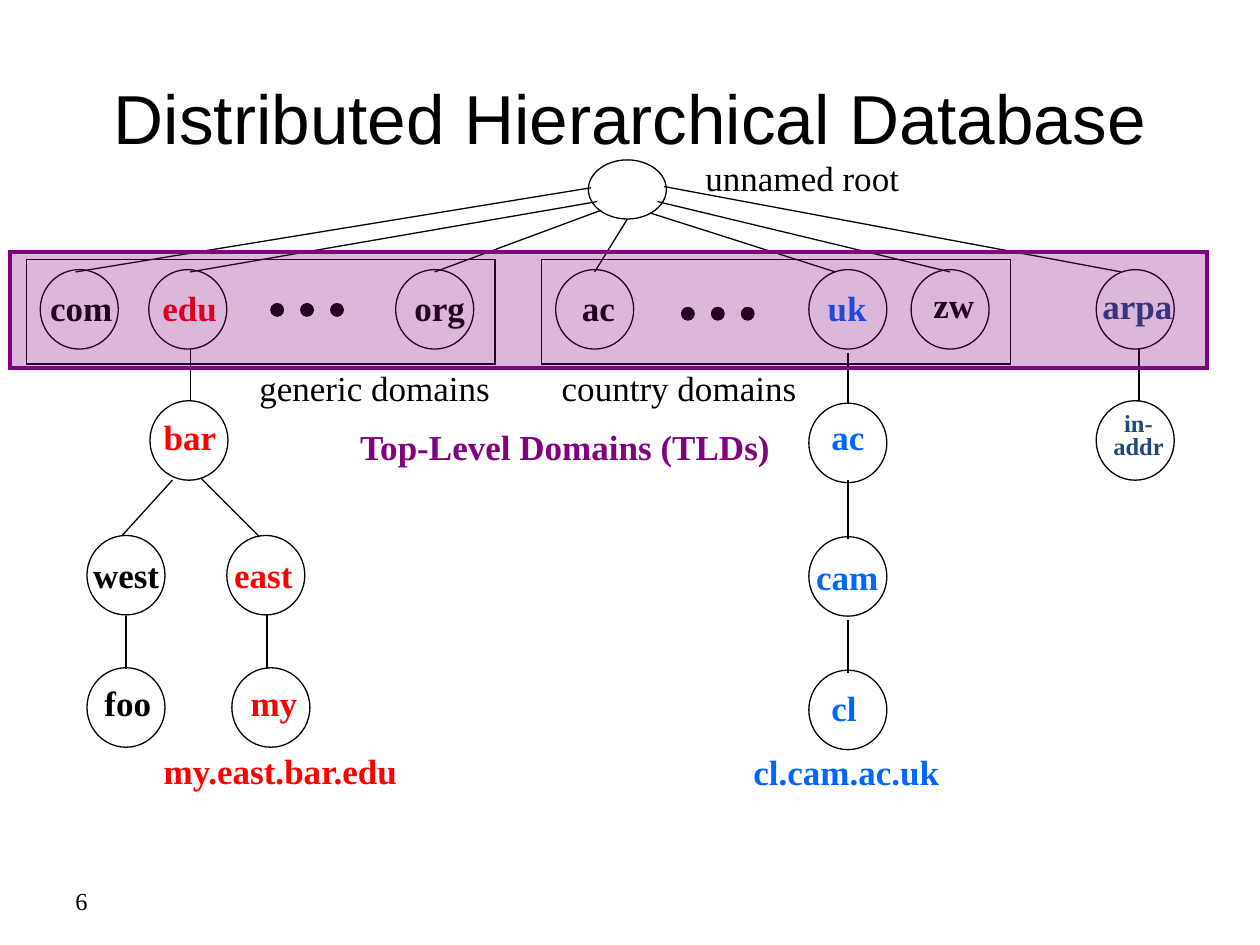
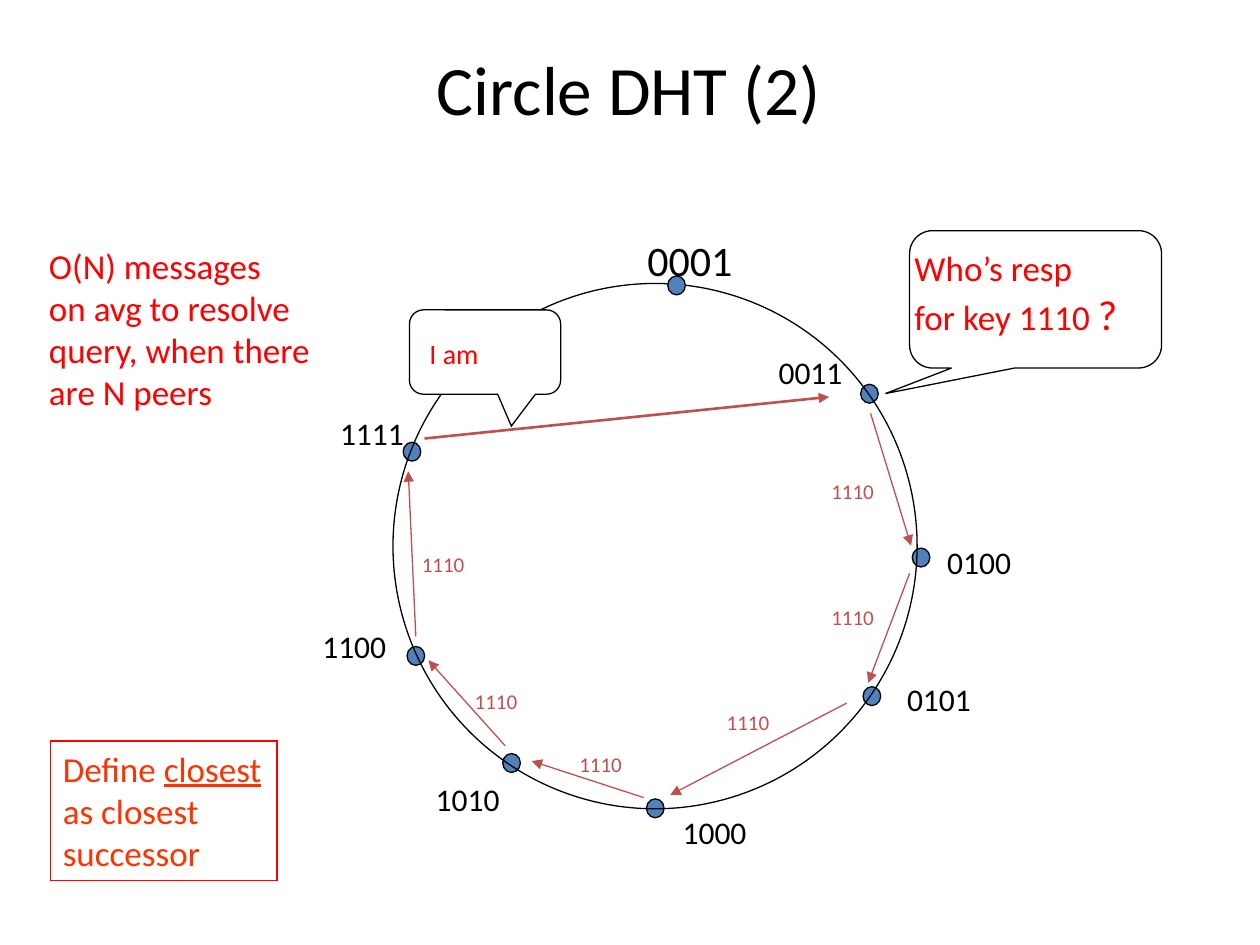
from lxml.etree import SubElement
from pptx import Presentation
from pptx.dml.color import RGBColor
from pptx.enum.shapes import MSO_CONNECTOR, MSO_SHAPE
from pptx.enum.text import MSO_ANCHOR, MSO_AUTO_SIZE, PP_ALIGN
from pptx.oxml.ns import qn
from pptx.util import Pt

COLORS = {
    "black": "000000", "white": "FFFFFF", "red": "FF0000", "orange": "FF3300",
    "blue": "0066FF", "navy": "1F497D", "purple": "800080",
    "peer": "4F81BD", "message": "C0504D",
}
SERIF, SANS, ARIAL = "Times New Roman", "Calibri", "Arial"
NODE_W, NODE_H = 44.6, 45.4
PEER_W, PEER_H = 10.1, 10.8


def rgb(name):
    """Return the named colour."""
    return RGBColor.from_string(COLORS[name])


def shape(s, kind, box, fill=None, line="black", width=0.75, adj=()):
    """Add a preset shape with a sharp outline and an optional fill."""
    sp = s.shapes.add_shape(kind, *[Pt(v) for v in box])
    sp.shadow.inherit = False
    if fill:
        sp.fill.solid()
        sp.fill.fore_color.rgb = rgb(fill)
    else:
        sp.fill.background()
    sp.line.color.rgb = rgb(line)
    sp.line.width = Pt(width)
    SubElement(sp.line._get_or_add_ln(), qn("a:miter"), lim="800000")
    for i, value in enumerate(adj):
        sp.adjustments[i] = value
    return sp


def line(s, start, end, color="black", width=0.75, arrow=False):
    """Add a straight connector, with an arrowhead at its end if asked."""
    ends = [Pt(v) for v in (*start, *end)]
    c = s.shapes.add_connector(MSO_CONNECTOR.STRAIGHT, *ends)
    c.line.color.rgb = rgb(color)
    c.line.width = Pt(width)
    if arrow:
        SubElement(c.line._get_or_add_ln(), qn("a:tailEnd"), type="triangle")
    SubElement(c._element.spPr, qn("a:effectLst"))
    return c


def write(sp, lines, size, font, color="black", bold=False,
          align=PP_ALIGN.LEFT, spacing=None):
    """Write lines, each a string or a list of (text, font settings) runs."""
    tf = sp.text_frame
    for i, runs in enumerate(lines):
        p = tf.paragraphs[0] if i == 0 else tf.add_paragraph()
        p.alignment = align
        if spacing:
            p.line_spacing = spacing
        for text, extra in [(runs, {})] if isinstance(runs, str) else runs:
            r = p.add_run()
            r.text = text
            r.font.name, r.font.size, r.font.bold = font, Pt(size), bold
            r.font.color.rgb = rgb(color)
            for key, value in extra.items():
                setattr(r.font, key, value)
    return tf


def label(s, box, lines, size, font, color="black", wrap=False, **style):
    """Add a text box that grows with its text."""
    sp = s.shapes.add_textbox(*[Pt(v) for v in box])
    tf = write(sp, lines, size, font, color, **style)
    tf.word_wrap = wrap
    tf.auto_size = MSO_AUTO_SIZE.SHAPE_TO_FIT_TEXT
    return tf


def titled_slide(prs, box, title, font):
    """Add a title-only slide and format its title."""
    s = prs.slides.add_slide(prs.slide_layouts[5])
    sp = s.shapes.title
    sp.left, sp.top, sp.width, sp.height = [Pt(v) for v in box]
    tf = write(sp, [title], 39.6, font, align=PP_ALIGN.CENTER)
    tf.vertical_anchor = MSO_ANCHOR.MIDDLE
    return s


def node(s, x, y, name, color, dx, dy, w):
    """Draw a domain circle with its name offset by dx and dy."""
    shape(s, MSO_SHAPE.OVAL, (x, y, NODE_W, NODE_H))
    label(s, (x + dx, y + dy, w, 31), [name], 20, SERIF, color, bold=True)


def subtree(s, box, nodes, edges):
    """Draw the edges and nodes of one branch inside its box."""
    x, y = box
    for nx, ny, *rest in nodes:
        node(s, x + nx, y + ny, *rest)
    for x1, y1, x2, y2 in edges:
        line(s, (x + x1, y + y1), (x + x2, y + y2))


def top_level(s, box):
    """Draw the top-level domains and the frames around them."""
    x, y = box[:2]
    nodes = [
        (17.2, "com", "black", -1.4, 5.8, 53),
        (79.2, "edu", "red", 0.7, 5.8, 46),
        (220.3, "org", "black", 3.6, 5.8, 45),
        (311.7, "ac", "black", 7.9, 5.8, 35),
        (456.4, "uk", "blue", 3.6, 5.8, 38),
        (514.8, "zw", "black", 5.7, 4.3, 39),
        (620.6, "arpa", "navy", -3.6, 5, 56),
    ]
    for nx, *rest in nodes:
        node(s, x + nx, y + 10.1, *rest)
    for dots_x, dots_y in ((149, 29.5), (383.7, 31.7)):
        for i in range(3):
            dot = (x + dots_x + 17.1 * i, y + dots_y, 7.2, 7.2)
            shape(s, MSO_SHAPE.OVAL, dot, "black")
    for frame_x in (9.3, 303.8):
        shape(s, MSO_SHAPE.RECTANGLE, (x + frame_x, y + 4.3, 267.8, 59.8))


def root(s, box):
    """Draw the root and its edges to the top-level domains."""
    x, y, w, h = box
    shape(s, MSO_SHAPE.OVAL, box)
    label(s, (x + 59.8, y - 5.7, 125.3, 31), ["unnamed root"], 20, SERIF)
    edges = [
        (1.5, 15.9, -293), (5.1, 23.8, -227.5), (7.2, 28.8, -87.8),
        (w / 2, h, 3.6), (43.2, 15.2, 304.6), (39.6, 23.8, 206.7),
        (35.3, 30.3, 141.2),
    ]
    for x1, y1, x2 in edges:
        line(s, (x + x1, y + y1), (x + x2, y + 64))


def reverse_branch(s, box):
    """Draw the branch below arpa."""
    x, y = box
    line(s, (x + 24.5, y), (x + 24.5, y + 30.3))
    shape(s, MSO_SHAPE.OVAL, (x, y + 30.3, NODE_W, NODE_H))
    label(s, (x + 2.2, y + 33.9, 43.9, 35.3), ["in-", "addr"], 14, SERIF,
          "navy", bold=True, align=PP_ALIGN.CENTER, spacing=0.8)


def band(s, box):
    """Lay the translucent band over the top-level domains and caption it."""
    x, y = box[:2]
    label(s, (x + 135.3, y + 61.9, 146.2, 31), ["generic domains"], 20, SERIF)
    label(s, (x + 308.1, y + 61.9, 148.3, 31), ["country domains"], 20, SERIF)
    sp = shape(s, MSO_SHAPE.RECTANGLE, box, "purple", "purple", 2)
    color = sp._element.spPr.find(qn("a:solidFill"))[0]
    SubElement(color, qn("a:alpha"), val="28000")
    label(s, (x + 192.2, y + 95.8, 249.8, 31), ["Top-Level Domains (TLDs)"],
          20, SERIF, "purple", bold=True, align=PP_ALIGN.CENTER)


def database_slide(prs):
    """Build the domain name tree."""
    s = titled_slide(prs, (36, 21.6, 648, 90),
                     "Distributed Hierarchical Database", ARIAL)
    tf = label(s, (36, 500.4, 168, 28.8), ["6"], 14, SERIF, wrap=True)
    tf.auto_size = MSO_AUTO_SIZE.NONE
    tf.vertical_anchor = MSO_ANCHOR.MIDDLE
    band_box = (5.8, 144, 684, 66.2)
    top_level(s, band_box)
    root(s, (336.2, 91.4, NODE_W, 33.8))
    subtree(s, (49.7, 199.4), [
        (36, 29.6, "bar", "red", 0.7, 5, 46),
        (0, 106.6, "west", "black", -3.6, 6.5, 55),
        (79.9, 106.6, "east", "red", -2.9, 6.5, 50),
        (0, 182.2, "foo", "black", 2.9, 4.3, 43),
        (82.8, 182.2, "my", "red", 3.6, 4.3, 43),
    ], [
        (59, 0, 59, 29.6), (48.9, 74.9, 20.1, 106.6),
        (65.5, 74.2, 98.6, 107.3), (22.3, 152.7, 22.3, 182.9),
        (102.9, 151.2, 102.9, 182.9),
    ])
    subtree(s, (462.2, 201.6), [
        (0, 28.8, "ac", "blue", 5.8, 3.6, 35),
        (0, 105.1, "cam", "blue", -2.9, 7.2, 53),
        (0, 181.4, "cl", "blue", 5.8, 5.8, 31),
    ], [
        (22.3, 0, 22.3, 28.8), (22.3, 72.7, 22.3, 106.6),
        (22.3, 152.6, 22.3, 182.9),
    ])
    reverse_branch(s, (626.4, 198.7))
    for box, name, color in (
        ((86.4, 424.8, 150.5, 31), "my.east.bar.edu", "red"),
        ((423.4, 425.5, 121.7, 31), "cl.cam.ac.uk", "blue"),
    ):
        label(s, box, [name], 20, SERIF, color, bold=True)
    band(s, band_box)


def ring(s, box):
    """Draw the ring of peers with their identifiers."""
    x, y = box[:2]
    peers = [
        ("0011", 267.2, 57.6, 213.2, 36),
        ("0100", 296.7, 151.2, 309.6, 144.7),
        ("0101", 268.6, 230.4, 286.6, 223.2),
        ("1000", 144.8, 294.5, 158.4, 298.8),
        ("1010", 62.7, 268.6, 17.3, 280.1),
        ("1100", 8, 207.4, -47.5, 193),
        ("1111", 5.8, 90.7, -37.4, 71.3),
        ("0001", 157, -4.3, 138.3, -31.7),
    ]
    dots = [(x + px, y + py, PEER_W, PEER_H) for _, px, py, _, _ in peers]
    for dot in dots[:-1]:
        shape(s, MSO_SHAPE.OVAL, dot, "peer")
    shape(s, MSO_SHAPE.OVAL, box)
    for name, _, _, lx, ly in peers:
        size = 24 if name == "0001" else 18
        label(s, (x + lx, y + ly, 63.4, 36.7), [name], size, SANS)
    shape(s, MSO_SHAPE.OVAL, dots[-1], "peer")


def hops(s, box):
    """Draw the query passed from peer to peer around the ring."""
    x, y = box[:2]
    for x1, y1, x2, y2, lx, ly in (
        (272.9, 74.2, 296, 149.8, 243.4, 108),
        (295.2, 165.6, 271.5, 228.2, 243.4, 180),
        (259.2, 239.8, 158.4, 292.3, 183.6, 239.8),
        (143.3, 293.8, 79.2, 272.9, 99.4, 264.2),
        (64.1, 264.2, 20.2, 215.3, 39.6, 228.2),
        (13, 201.6, 8.7, 107.3, 9.4, 149.8),
    ):
        line(s, (x + x1, y + y1), (x + x2, y + y2), "message", arrow=True)
        label(s, (x + lx, y + ly, 38.9, 21.6), ["1110"], 12, SANS, "message")


def question(s, box):
    """Draw the callout that asks for the key."""
    x, y = box[:2]
    shape(s, MSO_SHAPE.ROUNDED_RECTANGULAR_CALLOUT, box,
          adj=(-0.596, 0.686, 0.167))
    label(s, (x - 4.3, y + 5.7, 133.9, 66.2),
          ["Who’s resp", [("for key 1110 ", {}), ("?", {"size": Pt(24)})]],
          20, SANS, "red")


def answer(s, box):
    """Draw the answering callout and the reply arrow."""
    x, y = box[:2]
    line(s, (x + 8.6, y + 73.5), (x + 239.8, y + 49.7), "message", 1.5, True)
    shape(s, MSO_SHAPE.ROUNDED_RECTANGULAR_CALLOUT, box, "white",
          adj=(0.174, 0.878, 0.167))
    label(s, (x + 4.3, y + 11.5, 102.2, 26.6), ["I am"], 16, SANS, "red",
          wrap=True)


def definition(s, box):
    """Draw the framed definition of closest."""
    sp = shape(s, MSO_SHAPE.RECTANGLE, box, line="red")
    tf = write(sp, [[("Define ", {}), ("closest", {"underline": True})],
                    "as closest", "successor"], 20, SANS, "orange")
    tf.vertical_anchor = MSO_ANCHOR.TOP
    tf.word_wrap = False
    tf.auto_size = MSO_AUTO_SIZE.SHAPE_TO_FIT_TEXT


def circle_slide(prs):
    """Build the circular hash table."""
    s = titled_slide(prs, (53.3, 29.5, 612, 90), "Circle DHT (2)", SANS)
    s.shapes.title.text_frame.margin_bottom = Pt(52)
    ring_box = (224.6, 162, 299.5, 300.2)
    ring(s, ring_box)
    question(s, (519.8, 131.8, 144, 78.5))
    hops(s, ring_box)
    answer(s, (234, 177.1, 86.4, 48.2))
    label(s, (20.9, 136.1, 166.3, 118.8),
          ["O(N) messages", "on avg to resolve", "query, when there",
           "are N peers"], 20, SANS, "red")
    definition(s, (28.8, 423.4, 129.6, 79.9))


def main():
    """Build and save the presentation."""
    prs = Presentation()
    prs.slide_width, prs.slide_height = Pt(720), Pt(540)
    database_slide(prs)
    circle_slide(prs)
    prs.save("out.pptx")


if __name__ == "__main__":
    main()
